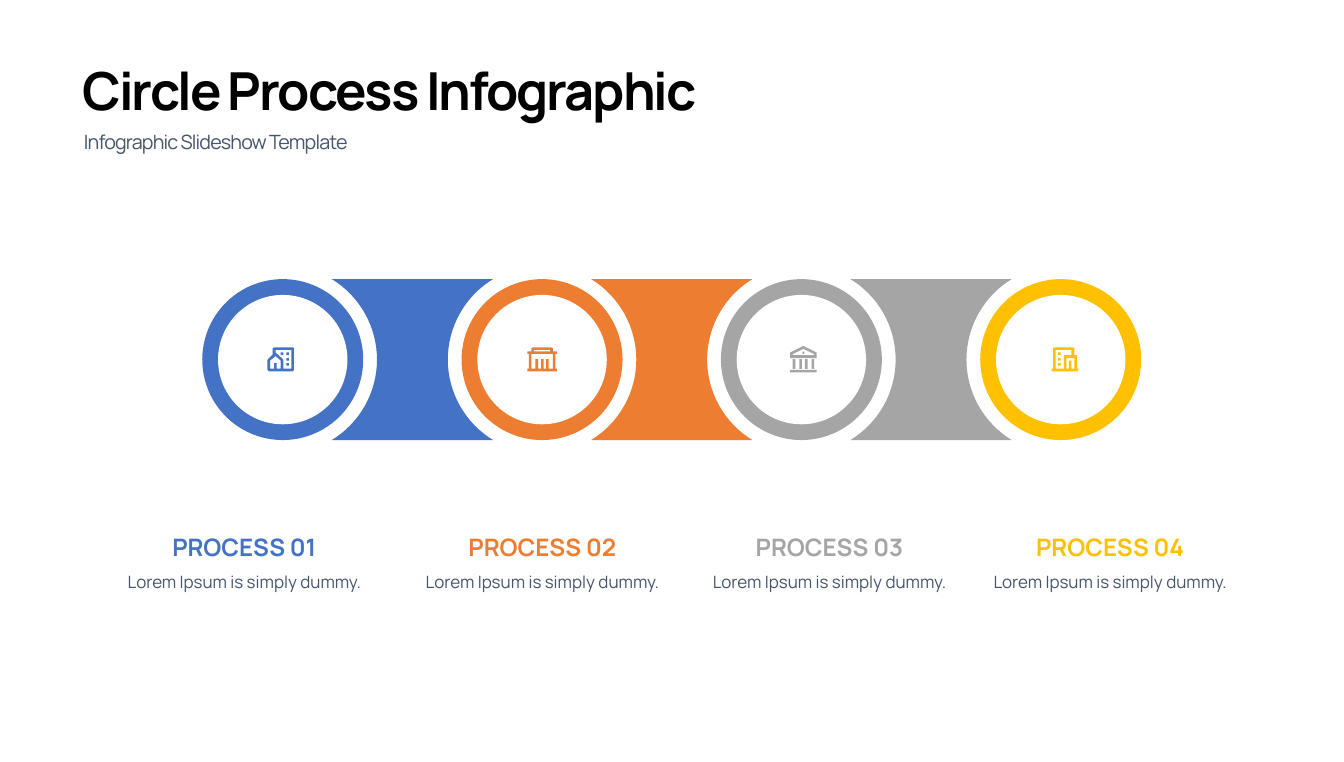
from dataclasses import dataclass
from math import asin, cos, sin

from pptx import Presentation
from pptx.dml.color import RGBColor
from pptx.enum.shapes import MSO_SHAPE
from pptx.enum.text import MSO_AUTO_SIZE, PP_ALIGN
from pptx.shapes.autoshape import Shape
from pptx.slide import Slide
from pptx.util import Inches, Pt

OVAL = MSO_SHAPE.OVAL
GROW, FIXED = MSO_AUTO_SIZE.SHAPE_TO_FIT_TEXT, MSO_AUTO_SIZE.NONE
LEFT, CENTER = PP_ALIGN.LEFT, PP_ALIGN.CENTER

FONT = "Manrope"
COLORS = {
    "black": "000000", "white": "FFFFFF", "slate": "44546A",
    "blue": "4472C4", "orange": "ED7D31", "gray": "A5A5A5", "yellow": "FFC000",
}

# Chain geometry in inches
FIRST_X, CENTER_Y, PITCH = 5.55, 7.06, 5.09
RING_RADIUS, DISC_RADIUS, NOTCH_RADIUS = 1.58, 1.27, 1.85
ARC_STEPS = 32

Contour = list[tuple[float, float]]


@dataclass
class Icon:
    left: float
    top: float
    contours: list[Contour]  # hundredths of an inch


@dataclass
class Step:
    heading: str
    color: str
    label_left: float
    label_width: float
    icon: Icon


@dataclass
class TextStyle:
    size: float
    color: str
    line_spacing: float | Pt
    bold: bool = False
    align: PP_ALIGN = LEFT
    tracking: float = 0
    space_after: float = 0
    margins: bool = False
    auto_size: MSO_AUTO_SIZE = GROW


TITLE = TextStyle(74, "black", Pt(94), bold=True, tracking=-2.9, margins=True)
SUBTITLE = TextStyle(27.8, "slate", Pt(42), tracking=-1.2, margins=True, auto_size=FIXED)
CAPTION = TextStyle(24, "slate", Pt(36), align=CENTER, space_after=23.7)


def rectangle(left: float, top: float, width: float, height: float) -> Contour:
    right, bottom = left + width, top + height
    return [(left, top), (right, top), (right, bottom), (left, bottom)]


# Icons: outer outline first, then openings and details
HOUSES = Icon(5.25, 6.82, [
    [(50, 47), (3, 47), (0, 44), (0, 25), (1, 23), (10, 14), (10, 2), (13, 0),
     (50, 0), (52, 2), (52, 44)],
    [(18, 42), (26, 42), (26, 26), (16, 17), (5, 26), (5, 42), (13, 42), (13, 31), (18, 31)],
    [(31, 42), (47, 42), (47, 5), (16, 5), (16, 11), (17, 11), (30, 23), (31, 25)],
    *[rectangle(x, y, 5, 5) for x, y in [(37, 10), (37, 21), (37, 31), (26, 10)]],
])
HALL = Icon(10.35, 6.82, [
    [(50, 8), (58, 8), (58, 13), (55, 13), (55, 42), (58, 42), (58, 47), (0, 47), (0, 42),
     (3, 42), (3, 13), (0, 13), (0, 8), (8, 8), (8, 2), (11, 0), (48, 0), (50, 2)],
    [(50, 13), (8, 13), (8, 42), (16, 42), (16, 23), (21, 23), (21, 42), (27, 42), (27, 23),
     (32, 23), (32, 42), (37, 42), (37, 23), (42, 23), (42, 42), (50, 42)],
    rectangle(13, 5, 32, 3),
])
BANK = Icon(15.51, 6.79, [
    [(0, 13), (26, 0), (52, 13), (52, 24), (0, 24)],
    [(5, 16), (5, 18), (47, 18), (47, 16), (26, 6)],
    [(26, 16), (24, 15), (24, 12), (26, 11), (28, 12), (28, 15)],
    rectangle(0, 47, 52, 5),
    *[rectangle(x, 26, 5, 19) for x in (5, 18, 29, 42)],
])
OFFICE = Icon(20.64, 6.82, [
    [(52, 47), (0, 47), (0, 42), (3, 42), (3, 2), (5, 0), (42, 0), (45, 2), (45, 15),
     (50, 15), (50, 42), (52, 42)],
    [(39, 42), (45, 42), (45, 21), (29, 21), (29, 42), (34, 42), (34, 26), (39, 26)],
    [(39, 15), (39, 5), (8, 5), (8, 42), (24, 42), (24, 15)],
    *[rectangle(13, y, 5, 5) for y in (10, 21, 31)],
])

STEPS = [
    Step("PROCESS 01", "blue", 2.28, 5.03, HOUSES),
    Step("PROCESS 02", "orange", 8.2, 4.89, HALL),
    Step("PROCESS 03", "gray", 13.97, 4.62, BANK),
    Step("PROCESS 04", "yellow", 19.48, 4.62, OFFICE),
]


def paint(shape: Shape, color: str) -> None:
    shape.shadow.inherit = False
    shape.fill.solid()
    shape.fill.fore_color.rgb = RGBColor.from_string(COLORS[color])
    shape.line.fill.background()


def add_text(page: Slide, text: str, left: float, top: float, width: float,
             height: float, style: TextStyle) -> None:
    box = page.shapes.add_textbox(Inches(left), Inches(top), Inches(width), Inches(height))
    frame = box.text_frame
    frame.text = text
    frame.word_wrap = True
    frame.auto_size = style.auto_size
    if not style.margins:
        frame.margin_left = frame.margin_right = 0
        frame.margin_top = frame.margin_bottom = 0
    para = frame.paragraphs[0]
    para.alignment = style.align
    para.line_spacing = style.line_spacing
    para.space_after = Pt(style.space_after)
    span = para.runs[0]
    span.font.name = FONT
    span.font.size = Pt(style.size)
    span.font.bold = style.bold
    span.font.color.rgb = RGBColor.from_string(COLORS[style.color])
    if style.tracking:
        span._r.get_or_add_rPr().set("spc", str(round(style.tracking * 100)))


def add_circle(page: Slide, x: float, radius: float, color: str) -> None:
    circle = page.shapes.add_shape(OVAL, Inches(x - radius), Inches(CENTER_Y - radius),
                                   Inches(2 * radius), Inches(2 * radius))
    paint(circle, color)


def add_outline(page: Slide, contours: list[Contour], color: str) -> None:
    paths = [[(Inches(x), Inches(y)) for x, y in contour] for contour in contours]
    builder = page.shapes.build_freeform(*paths[0][0])
    for index, path in enumerate(paths):
        if index:
            builder.move_to(*path[0])
        builder.add_line_segments(path[1:], close=True)
    paint(builder.convert_to_shape(), color)


def add_link(page: Slide, x: float, color: str) -> None:
    """Fill the band between two circles, with a round notch at each end."""
    limit = asin(RING_RADIUS / NOTCH_RADIUS)
    angles = [limit * (2 * i / ARC_STEPS - 1) for i in range(ARC_STEPS + 1)]
    arc = [(NOTCH_RADIUS * cos(a), NOTCH_RADIUS * sin(a)) for a in angles]
    near = [(x + dx, CENTER_Y + dy) for dx, dy in arc]
    far = [(x + PITCH - dx, CENTER_Y + dy) for dx, dy in reversed(arc)]
    add_outline(page, [near + far], color)


def add_icon(page: Slide, icon: Icon, color: str) -> None:
    placed = [[(icon.left + x / 100, icon.top + y / 100) for x, y in contour]
              for contour in icon.contours]
    add_outline(page, placed, color)


def main() -> None:
    deck = Presentation()
    deck.slide_width, deck.slide_height = Inches(26.38), Inches(14.96)
    page = deck.slides.add_slide(deck.slide_layouts[6])

    # Title and subtitle
    add_text(page, "Circle Process Infographic", 1.52, 1.02, 20.24, 1.38, TITLE)
    add_text(page, "Infographic Slideshow Template", 1.55, 2.37, 19.24, 0.65, SUBTITLE)

    # Chain of circles with their labels
    for index, step in enumerate(STEPS):
        x = FIRST_X + index * PITCH
        add_circle(page, x, RING_RADIUS, step.color)
        if index < len(STEPS) - 1:
            add_link(page, x, step.color)
        add_circle(page, x, DISC_RADIUS, "white")
        add_icon(page, step.icon, step.color)
        heading = TextStyle(34, step.color, 1.5, bold=True, align=CENTER)
        add_text(page, step.heading, step.label_left, 10.17, step.label_width, 0.78, heading)
        add_text(page, "Lorem Ipsum is simply dummy.", step.label_left, 11.12,
                 step.label_width, 0.98, CAPTION)

    deck.save("out.pptx")


if __name__ == "__main__":
    main()
